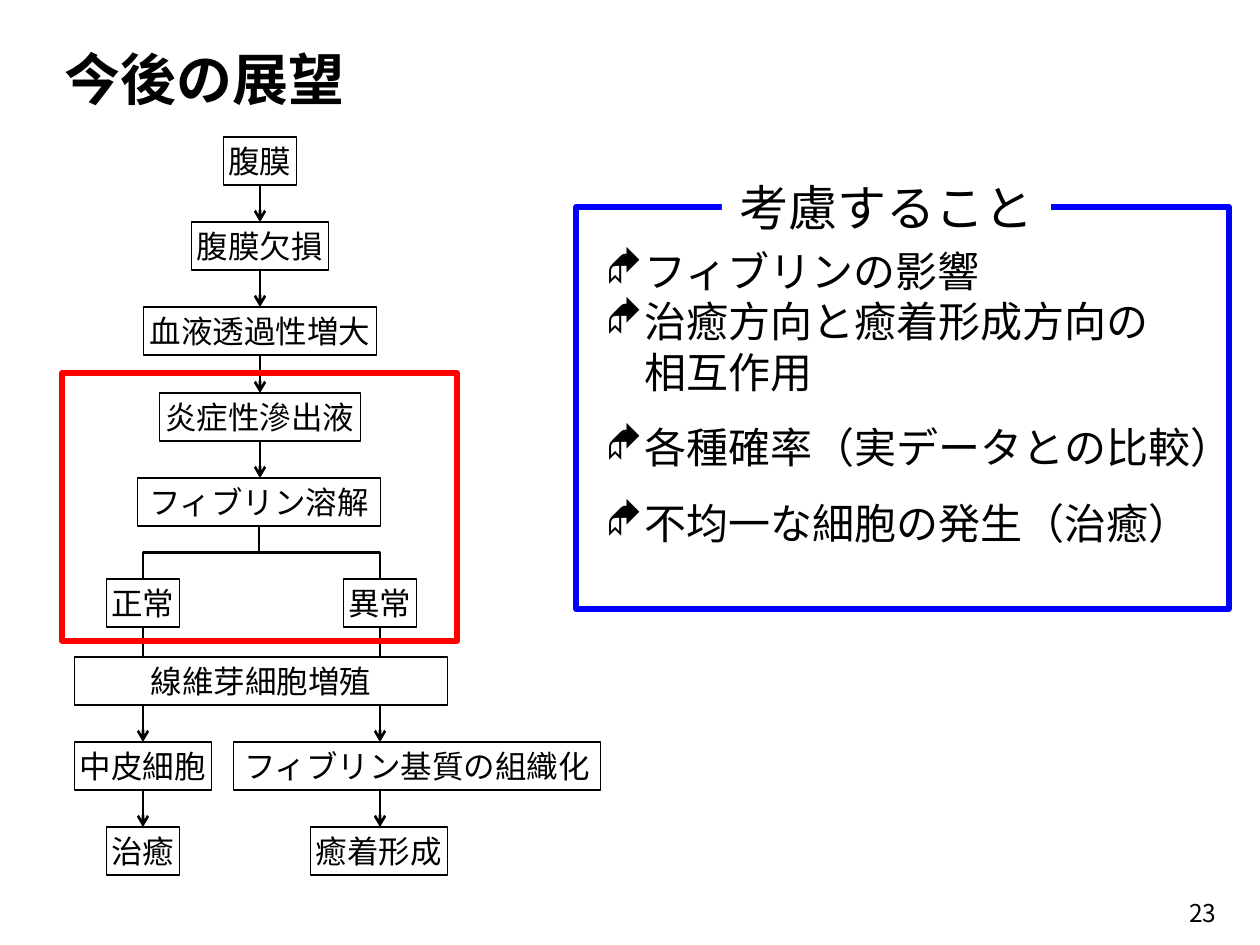
from dataclasses import dataclass

from lxml.etree import SubElement
from pptx import Presentation
from pptx.dml.color import RGBColor
from pptx.enum.shapes import MSO_CONNECTOR as Connector, MSO_SHAPE as Shape
from pptx.enum.text import MSO_ANCHOR as Anchor, MSO_AUTO_SIZE as AutoSize, PP_ALIGN as Align
from pptx.oxml.ns import qn
from pptx.util import Emu, Pt

EMU_PER_PX = 914400 / 126
FONT = "Noto Sans CJK JP"
BLACK, WHITE, RED, BLUE = "000000", "FFFFFF", "FF0000", "0000FF"
BOX_HEIGHT = 48
SPINE, LEFT, RIGHT = 260, 143, 380  # centre lines of the flow chart


@dataclass
class FlowBox:
    text: str
    center: int
    top: int
    width: int


@dataclass
class FlowLine:
    x: int
    top: int
    bottom: int
    arrow: bool = True


@dataclass
class Consideration:
    lines: list[str]
    line_spacing: float


FLOW_BOXES = [
    FlowBox("腹膜", SPINE, 137, 73),
    FlowBox("腹膜欠損", SPINE, 222, 137),
    FlowBox("血液透過性増大", SPINE, 307, 233),
    FlowBox("炎症性滲出液", SPINE, 393, 201),
    FlowBox("フィブリン溶解", SPINE - 1, 478, 243),
    FlowBox("正常", LEFT, 579, 73),
    FlowBox("異常", RIGHT, 579, 73),
    FlowBox("線維芽細胞増殖", SPINE + 1, 657, 373),
    FlowBox("中皮細胞", LEFT, 742, 137),
    FlowBox("フィブリン基質の組織化", 417, 742, 367),
    FlowBox("治癒", LEFT, 827, 73),
    FlowBox("癒着形成", 379, 827, 137),
]
SPINE_TOPS = [box.top for box in FLOW_BOXES[:5]]
FLOW_LINES = [
    FlowLine(SPINE, upper + BOX_HEIGHT, lower)
    for upper, lower in zip(SPINE_TOPS, SPINE_TOPS[1:])
] + [
    FlowLine(x, upper + BOX_HEIGHT, lower, arrow)
    for x in (LEFT, RIGHT)
    for upper, lower, arrow in ((579, 657, False), (657, 742, True), (742, 827, True))
]
CONSIDERATIONS = [
    Consideration(["フィブリンの影響"], 1),
    Consideration(["治癒方向と癒着形成方向の", "相互作用"], 1),
    Consideration(["各種確率（実データとの比較）"], 1.5),
    Consideration(["不均一な細胞の発生（治癒）"], 1.5),
]


def px(length: float) -> Emu:
    return Emu(round(length * EMU_PER_PX))


def color(value: str) -> RGBColor:
    return RGBColor.from_string(value)


def add_run(paragraph, text: str, size: int, bold: bool = False) -> None:
    run = paragraph.add_run()
    run.text = text
    font = run.font
    font.size, font.bold, font.name = Pt(size), bold, FONT
    font.color.rgb = color(BLACK)
    SubElement(run._r.get_or_add_rPr(), qn("a:ea")).set("typeface", FONT)


def set_frame(frame, anchor, wrap: bool, margin: int | None = None) -> None:
    frame.auto_size = AutoSize.NONE
    frame.word_wrap = wrap
    frame.vertical_anchor = anchor
    if margin is not None:
        frame.margin_left = frame.margin_right = px(margin)
        frame.margin_top = frame.margin_bottom = px(margin)


def move(shape, left: int, top: int, width: int, height: int) -> None:
    shape.left, shape.top, shape.width, shape.height = map(px, (left, top, width, height))


def add_rectangle(slide, left: float, top: int, width: int, height: int,
                  line: str | None = None, weight: float = 1, fill: str | None = None):
    shape = slide.shapes.add_shape(Shape.RECTANGLE, px(left), px(top), px(width), px(height))
    shape.shadow.inherit = False
    if fill:
        shape.fill.solid()
        shape.fill.fore_color.rgb = color(fill)
    else:
        shape.fill.background()
    if line:
        shape.line.color.rgb = color(line)
        shape.line.width = Pt(weight)
    else:
        shape.line.fill.background()
    return shape


def add_flow_box(slide, box: FlowBox) -> None:
    shape = add_rectangle(slide, box.center - box.width / 2, box.top, box.width, BOX_HEIGHT, BLACK)
    set_frame(shape.text_frame, Anchor.TOP, wrap=False, margin=5)
    paragraph = shape.text_frame.paragraphs[0]
    paragraph.alignment = Align.CENTER
    add_run(paragraph, box.text, 18)


def add_line(slide, kind, x1: float, y1: float, x2: float, y2: float, arrow: bool = False):
    connector = slide.shapes.add_connector(kind, px(x1), px(y1), px(x2), px(y2))
    connector.line.color.rgb = color(BLACK)
    connector.line.width = Pt(1.5)
    if arrow:
        SubElement(connector.line._get_or_add_ln(), qn("a:tailEnd")).set("type", "arrow")
    SubElement(connector._element.spPr, qn("a:effectLst"))
    return connector


def add_branch(slide, x1: int, y1: int, x2: int, y2: int) -> None:
    """Elbow that leaves downwards: a sideways elbow turned a quarter."""
    center_x, center_y = (x1 + x2) / 2, (y1 + y2) / 2
    half_width, half_height = (y2 - y1) / 2, abs(x2 - x1) / 2
    to_right = x2 > x1
    if to_right:
        half_width = -half_width
    elbow = add_line(slide, Connector.ELBOW, center_x - half_width, center_y - half_height,
                     center_x + half_width, center_y + half_height)
    elbow._element.spPr.find(qn("a:xfrm")).set("rot", str((270 if to_right else 90) * 60000))


def add_consideration(paragraph, item: Consideration) -> None:
    properties = paragraph._p.get_or_add_pPr()
    properties.set("marL", str(px(39)))
    properties.set("indent", str(-px(39)))
    paragraph.line_spacing = item.line_spacing
    paragraph.space_before = Pt(0)
    SubElement(properties, qn("a:buFont")).set("typeface", "Wingdings")
    SubElement(properties, qn("a:buChar")).set("char", "◆")
    for index, line in enumerate(item.lines):
        if index:
            paragraph.add_line_break()
        add_run(paragraph, line, 24)


def main() -> None:
    presentation = Presentation()
    presentation.slide_width, presentation.slide_height = px(1260), px(945)
    slide = presentation.slides.add_slide(presentation.slide_layouts[1])
    title, body = slide.placeholders

    # Title
    move(title, 52, 38, 309, 81)
    set_frame(title.text_frame, Anchor.TOP, wrap=False)
    paragraph = title.text_frame.paragraphs[0]
    paragraph.alignment = Align.LEFT
    add_run(paragraph, "今後の展望", 32, bold=True)

    # Flow chart with the part in focus
    for box in FLOW_BOXES:
        add_flow_box(slide, box)
    for line in FLOW_LINES:
        add_line(slide, Connector.STRAIGHT, line.x, line.top, line.x, line.bottom, line.arrow)
    for x in (LEFT, RIGHT):
        add_branch(slide, SPINE - 1, 478 + BOX_HEIGHT, x, 579)
    add_rectangle(slide, 62, 373, 395, 268, RED, 3)

    # Framed list of considerations
    add_rectangle(slide, 576, 207, 653, 402, BLUE, 3)
    move(body, 593, 239, 674, 348)
    frame = body.text_frame
    set_frame(frame, Anchor.TOP, wrap=True)
    for index, item in enumerate(CONSIDERATIONS):
        add_consideration(frame.add_paragraph() if index else frame.paragraphs[0], item)
    heading = add_rectangle(slide, 722, 171, 329, 72, fill=WHITE)
    set_frame(heading.text_frame, Anchor.TOP, wrap=True)
    paragraph = heading.text_frame.paragraphs[0]
    paragraph.alignment = Align.CENTER
    add_run(paragraph, "考慮すること", 28)

    # Page number
    number = slide.shapes.add_textbox(px(945), px(888), px(284), px(50))
    set_frame(number.text_frame, Anchor.MIDDLE, wrap=True)
    paragraph = number.text_frame.paragraphs[0]
    paragraph.alignment = Align.RIGHT
    add_run(paragraph, "23", 14)

    presentation.save("out.pptx")


if __name__ == "__main__":
    main()
